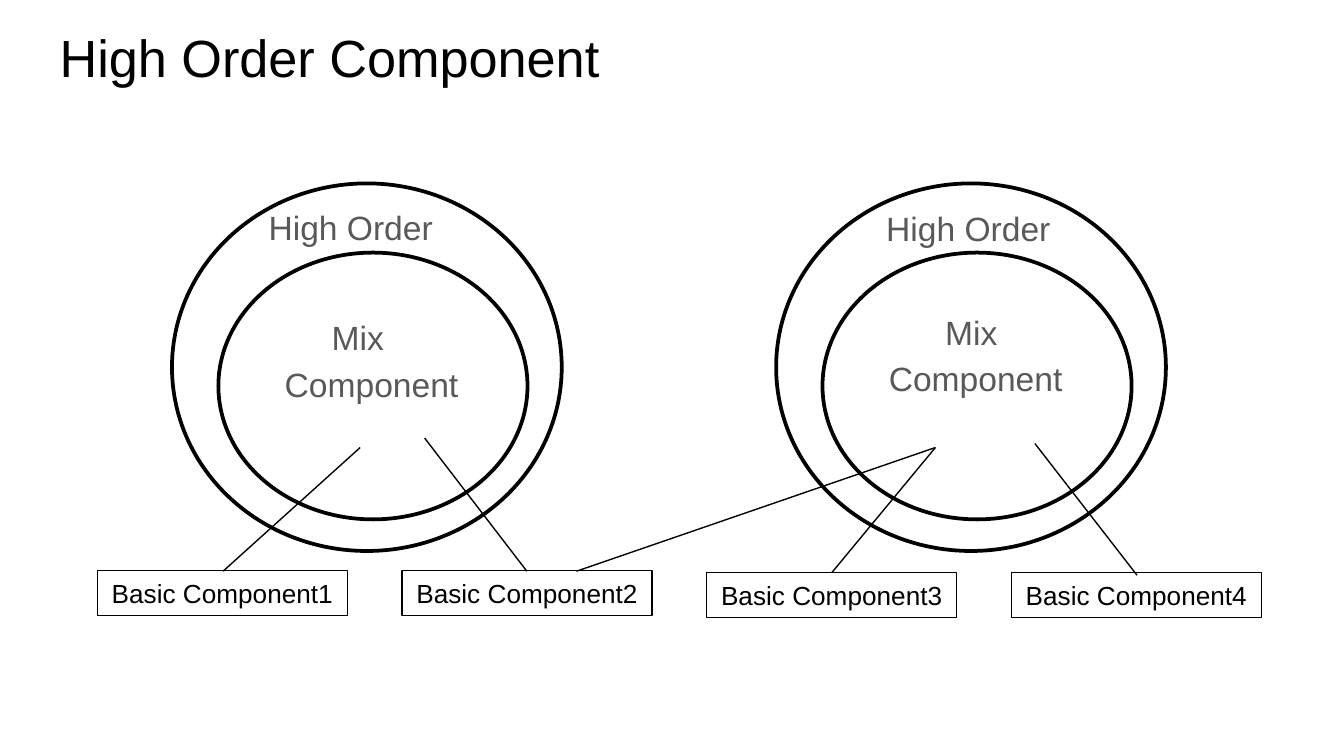
import pptx
import pptx.util
import pptx.dml.color
import pptx.enum.shapes
import pptx.enum.text
import pptx.oxml
from pptx.oxml import ns

BLACK = pptx.dml.color.RGBColor(0x00, 0x00, 0x00)
GREY = pptx.dml.color.RGBColor(0x59, 0x59, 0x59)
SHAPE = pptx.enum.shapes.MSO_SHAPE

prs = pptx.Presentation()
prs.slide_width = pptx.util.Inches(10)
prs.slide_height = prs.slide_width * 9 // 16
COL = prs.slide_width / 100
ROW = prs.slide_height / 56.25
s = prs.slides.add_slide(prs.slide_layouts[6])


def add_text(x, y, w, h, text, size, color, indent=0):
    sp = s.shapes.add_textbox(int(x * COL), int(y * ROW), int(w * COL), int(h * ROW))
    tf = sp.text_frame
    tf.word_wrap = True
    tf.margin_left = tf.margin_right = int(COL)
    tf.margin_top = tf.margin_bottom = int(ROW)
    tf.text = text
    p = tf.paragraphs[0]
    r = p.runs[0]
    r.font.name = "Arial"
    r.font.size = pptx.util.Pt(size)
    r.font.color.rgb = color
    if indent:
        p.line_spacing = 1.15
        p.space_after = pptx.util.Pt(16)
        pPr = p._p.get_or_add_pPr()
        pPr.set("marL", "0")
        pPr.set("indent", str(int(indent * COL)))


def add_outline(kind, x, y, w, h, width):
    sp = s.shapes.add_shape(kind, int(x * COL), int(y * ROW), int(w * COL), int(h * ROW))
    sp.shadow.inherit = False
    sp.fill.background()
    sp.line.color.rgb = BLACK
    sp.line.width = pptx.util.Pt(width)
    return sp


add_text(3.45, 0.85, 93.2, 6.3, "High Order Component", 28, BLACK)

for i, y in enumerate((42.45, 42.45, 42.6, 42.6)):
    sp = add_outline(SHAPE.RECTANGLE, 7.25 + 22.67 * i, y, 18.6, 3.35, 0.75)
    tf = sp.text_frame
    tf.word_wrap = False
    tf.text = f"Basic Component{i + 1}"
    p = tf.paragraphs[0]
    p.alignment = pptx.enum.text.PP_ALIGN.CENTER
    r = p.runs[0]
    r.font.name = "Arial"
    r.font.size = pptx.util.Pt(14)
    r.font.color.rgb = BLACK

for x, order_x, order_y, mix_x, mix_y, mix_indent in (
    (12.8, 14.8, 13.95, 20.2, 22.15, 3.5),
    (57.75, 60.75, 14, 65.15, 21.75, 4.2),
):
    add_outline(SHAPE.OVAL, x, 13.65, 29, 27.35, 2)
    add_outline(SHAPE.OVAL, x + 3.45, 18.8, 23, 19.85, 2)
    add_text(order_x, order_y, 19.5, 4.5, "High Order", 18, GREY, 4.2)
    add_text(mix_x, mix_y, 15.3, 8, "Mix Component", 18, GREY, mix_indent)

for x1, y1, x2, y2 in (
    (31.6, 32.6, 39.2, 42.5),
    (26.8, 33.3, 16.6, 42.5),
    (77, 33, 84.6, 42.8),
    (69.6, 33.3, 61.9, 42.6),
    (69.6, 33.3, 42.9, 42.5),
):
    line = s.shapes.add_connector(
        pptx.enum.shapes.MSO_CONNECTOR.STRAIGHT,
        int(x1 * COL), int(y1 * ROW), int(x2 * COL), int(y2 * ROW),
    )
    line.line.color.rgb = BLACK
    line.line.width = pptx.util.Pt(0.75)
    line._element.spPr.append(pptx.oxml.parse_xml(f"<a:effectLst {ns.nsdecls('a')}/>"))

prs.save("out.pptx")
